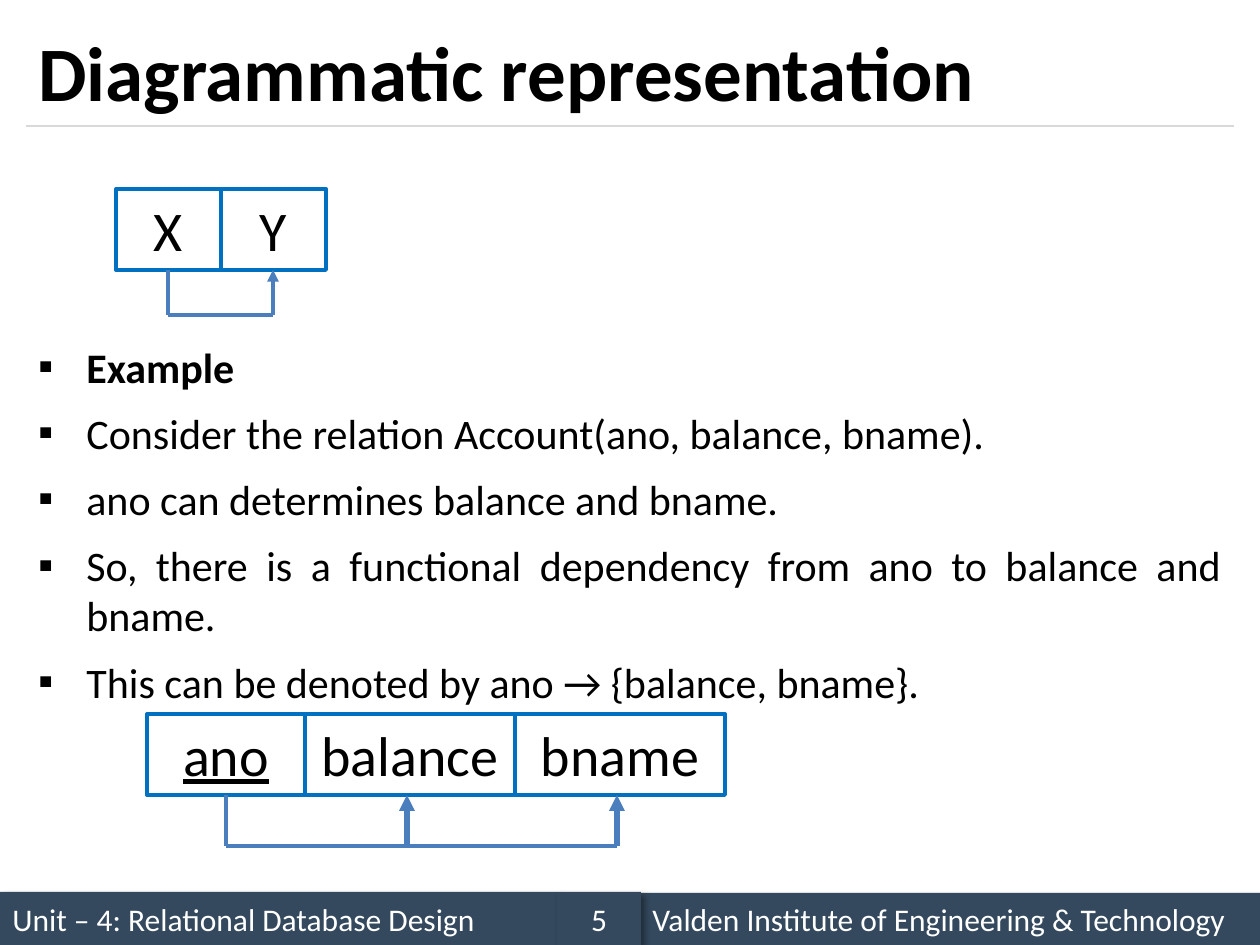
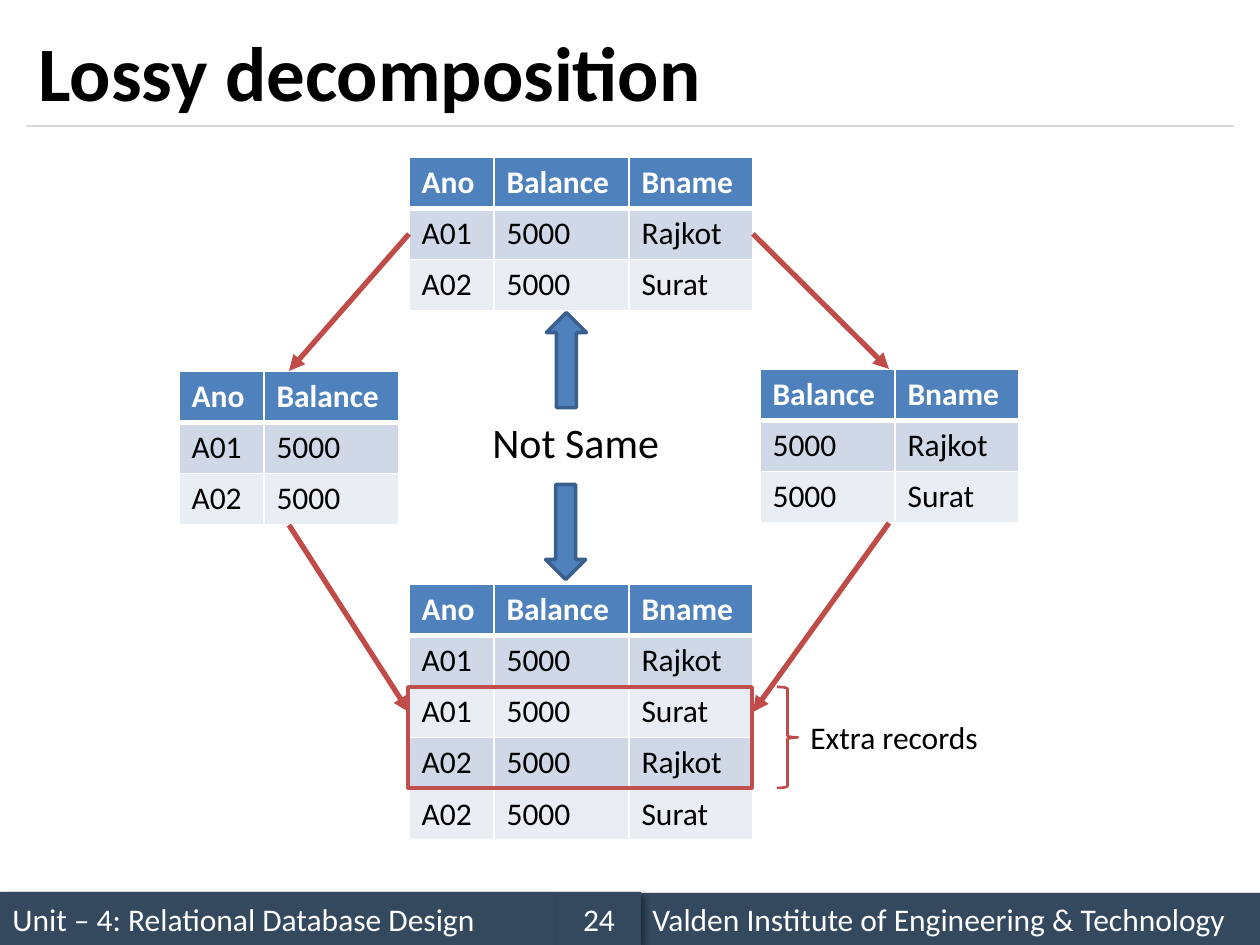
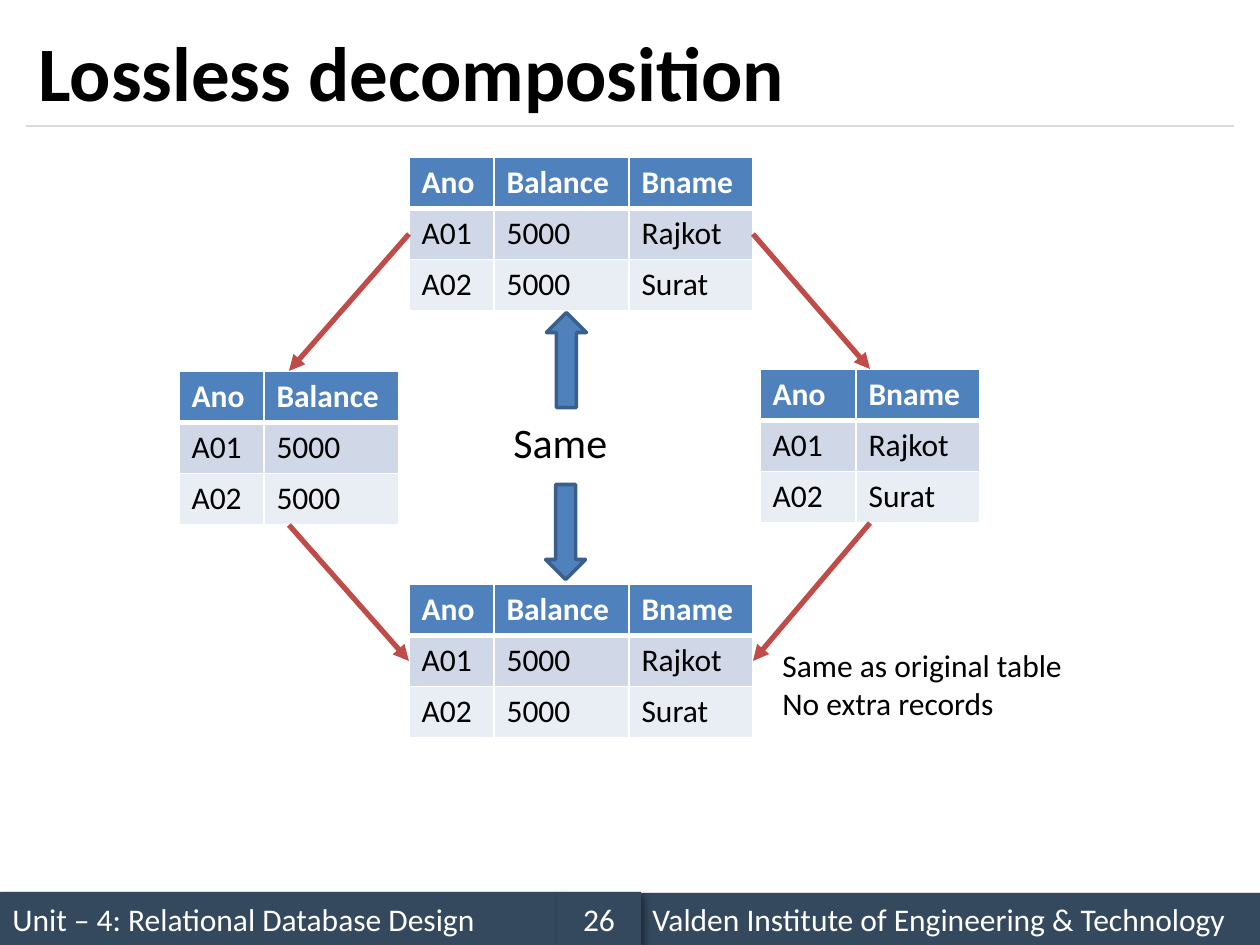
"""Build three slides on functional dependency and table decomposition."""
from dataclasses import dataclass
from itertools import product

from lxml.etree import SubElement
from pptx import Presentation
from pptx.dml.color import RGBColor
from pptx.enum.shapes import MSO_CONNECTOR as Link, MSO_SHAPE as Preset
from pptx.enum.text import MSO_ANCHOR as Anchor, PP_ALIGN as Align
from pptx.oxml.ns import qn
from pptx.shapes.autoshape import Shape
from pptx.slide import Slide
from pptx.util import Emu, Pt

FONT = "Calibri"
BLACK, WHITE = "000000", "FFFFFF"
BAND, RULE = "34495E", "D9D9D9"
CELL_LINE, STEM = "0070C0", "4B7EBC"
BLUE, BLUE_EDGE = "4F81BD", "3A5F8C"
RED_LINE, RED_FRAME = "BF4C48", "C0504D"
STRIPES = ("D0D8E8", "E9EDF4")
PIXELS_PER_INCH = 126
ROW_HEIGHT = 51.2
UNIT = "Unit – 4: Relational Database Design"
SCHOOL = "Valden Institute of Engineering & Technology"
POINTS = (
    "Example",
    "Consider the relation Account(ano, balance, bname).",
    "ano can determines balance and bname.",
    "So, there is a functional dependency from ano to balance and bname.",
    "This can be denoted by ano → {balance, bname}.",
)
ORIGINAL = ("Ano Balance Bname", "A01 5000 Rajkot", "A02 5000 Surat")


@dataclass(frozen=True)
class Area:
    """A rectangle in pixels."""
    left: int
    top: int
    width: int
    height: int

    def emu(self) -> tuple[Emu, ...]:
        """Give the four lengths in EMU."""
        return tuple(map(px, (self.left, self.top, self.width, self.height)))


@dataclass(frozen=True)
class TextStyle:
    """The look of a paragraph."""
    size: int
    color: str = BLACK
    bold: bool = False
    underline: bool = False
    align: Align = Align.LEFT


@dataclass(frozen=True)
class Attribute:
    """One named cell of a dependency diagram."""
    name: str
    width: int
    key: bool = False


@dataclass(frozen=True)
class Grid:
    """A data table with its place and column widths."""
    left: int
    top: int
    columns: tuple[int, ...]
    rows: tuple[str, ...]

    @property
    def right(self) -> int:
        """Give the right edge."""
        return self.left + sum(self.columns)

    @property
    def bottom(self) -> int:
        """Give the lower edge."""
        return round(self.top + ROW_HEIGHT * len(self.rows))

    @property
    def center(self) -> int:
        """Give the horizontal centre."""
        return (self.left + self.right) // 2

    @property
    def middle(self) -> int:
        """Give the vertical centre."""
        return (self.top + self.bottom) // 2


def px(pixels: float) -> Emu:
    """Turn pixels into EMU."""
    return Emu(round(pixels * 914400 / PIXELS_PER_INCH))


def rgb(color: str) -> RGBColor:
    """Turn a hex string into a colour."""
    return RGBColor.from_string(color)


def style_paragraph(para, style: TextStyle) -> None:
    """Apply a text style to a paragraph."""
    para.alignment = style.align
    font = para.font
    font.name, font.size = FONT, Pt(style.size)
    font.bold, font.underline = style.bold, style.underline
    font.color.rgb = rgb(style.color)


def write(box: Shape, lines: tuple[str, ...], style: TextStyle, anchor: Anchor = Anchor.TOP) -> None:
    """Write lines as paragraphs into a shape."""
    frame = box.text_frame
    frame.word_wrap, frame.vertical_anchor = True, anchor
    frame.text = "\n".join(lines)
    for para in frame.paragraphs:
        style_paragraph(para, style)


def add_text(page: Slide, area: Area, lines: tuple[str, ...], style: TextStyle, anchor: Anchor = Anchor.TOP) -> None:
    """Add a text box."""
    write(page.shapes.add_textbox(*area.emu()), lines, style, anchor)


def add_preset(page: Slide, preset: Preset, area: Area, fill: str = "", edge: str = "", weight: float = 2) -> Shape:
    """Add a preset shape without the default look."""
    shape = page.shapes.add_shape(preset, *area.emu())
    if fill:
        shape.fill.solid()
        shape.fill.fore_color.rgb = rgb(fill)
    else:
        shape.fill.background()
    if edge:
        shape.line.color.rgb = rgb(edge)
        shape.line.width = Pt(weight)
    else:
        shape.line.fill.background()
    shape.shadow.inherit = False
    return shape


def add_line(page: Slide, start: tuple[int, int], end: tuple[int, int], color: str, weight: float, arrow: bool = False) -> None:
    """Add a straight line, with an arrowhead at its end if asked."""
    points = map(px, (*start, *end))
    line = page.shapes.add_connector(Link.STRAIGHT, *points)
    line.line.color.rgb = rgb(color)
    line.line.width = Pt(weight)
    properties = line.element.spPr
    if arrow:
        SubElement(properties.find(qn("a:ln")), qn("a:tailEnd"), type="triangle")
    SubElement(properties, qn("a:effectLst"))


def add_band(page: Slide, area: Area, text: str, align: Align = Align.LEFT) -> None:
    """Add one shadowed part of the footer."""
    band = add_preset(page, Preset.RECTANGLE, area, BAND)
    effects = band.element.spPr.find(qn("a:effectLst"))
    shadow = SubElement(effects, qn("a:outerShdw"), blurRad=str(Pt(4)), dist=str(Pt(3)),
                        dir="2700000", algn="tl", rotWithShape="0")
    tint = SubElement(shadow, qn("a:srgbClr"), val=BLACK)
    SubElement(tint, qn("a:alpha"), val="40000")
    write(band, (text,), TextStyle(18, WHITE, align=align), Anchor.MIDDLE)


def add_page(deck, title: str, number: int) -> Slide:
    """Add a page with the shared footer, rule and title."""
    page = deck.slides.add_slide(deck.slide_layouts[6])
    add_band(page, Area(0, 892, 557, 53), UNIT)
    add_line(page, (26, 126), (1234, 126), RULE, 0.75)
    add_band(page, Area(640, 893, 620, 52), SCHOOL)
    add_band(page, Area(557, 892, 84, 53), str(number), Align.CENTER)
    add_text(page, Area(26, 15, 1208, 111), (title,), TextStyle(44, bold=True), Anchor.MIDDLE)
    return page


def add_points(page: Slide) -> None:
    """Add the bulleted example below the first diagram."""
    box = page.shapes.add_textbox(*Area(26, 136, 1208, 735).emu())
    write(box, POINTS, TextStyle(24, align=Align.JUSTIFY))
    box.text_frame.margin_top = px(205)
    for para in box.text_frame.paragraphs:
        para.space_before = Pt(9)
        properties = para._p.get_or_add_pPr()
        properties.set("marL", str(px(48)))
        properties.set("indent", str(px(-48)))
        typeface = SubElement(properties, qn("a:buFont"), typeface=FONT)
        bullet = SubElement(properties, qn("a:buChar"), char="▪")
        for mark in (typeface, bullet):
            properties.find(qn("a:defRPr")).addprevious(mark)
    box.text_frame.paragraphs[0].font.bold = True


def add_dependency(page: Slide, left: int, top: int, attributes: tuple[Attribute, ...],
                   stems: tuple[int, ...], depth: int, weight: float) -> None:
    """Add attribute cells with arrows from the first to the others."""
    height = 81
    for attribute in attributes:
        cell = add_preset(page, Preset.RECTANGLE, Area(left, top, attribute.width, height), edge=CELL_LINE, weight=2.25)
        write(cell, (attribute.name,), TextStyle(32, underline=attribute.key, align=Align.CENTER))
        left += attribute.width
    upper, lower = top + height, top + height + depth
    source, *targets = stems
    add_line(page, (source, upper), (source, lower), STEM, 2.25)
    for target in targets:
        add_line(page, (target, lower), (target, upper), STEM, weight, arrow=True)
    add_line(page, (source, lower), (targets[-1], lower), STEM, 2.25)


def add_border(cell, side: str, weight: float) -> None:
    """Draw one white edge of a table cell."""
    edge = SubElement(cell._tc.get_or_add_tcPr(), qn(f"a:ln{side}"), w=str(Pt(weight)))
    SubElement(SubElement(edge, qn("a:solidFill")), qn("a:srgbClr"), val=WHITE)


def add_grid(page: Slide, grid: Grid) -> None:
    """Add a table with a header row and striped records."""
    size = len(grid.rows), len(grid.columns)
    area = Area(grid.left, grid.top, grid.right - grid.left, grid.bottom - grid.top)
    table = page.shapes.add_table(*size, *area.emu()).table
    for column, width in zip(table.columns, grid.columns):
        column.width = px(width)
    for row in table.rows:
        row.height = px(ROW_HEIGHT)
    records = [row.split() for row in grid.rows]
    for row, column in product(*map(range, size)):
        cell = table.cell(row, column)
        header = row == 0
        for side in "LRTB":
            add_border(cell, side, 3 if (row, side) in ((0, "B"), (1, "T")) else 1)
        cell.fill.solid()
        cell.fill.fore_color.rgb = rgb(BLUE if header else STRIPES[(row - 1) % 2])
        cell.text = records[row][column]
        style_paragraph(cell.text_frame.paragraphs[0], TextStyle(18, WHITE if header else BLACK, header))


def add_decomposition(page: Slide, right: Grid, joined_rows: tuple[str, ...]) -> None:
    """Add the whole table, its two parts and their join, linked by arrows."""
    whole = Grid(409, 157, (85, 135, 124), ORIGINAL)
    left = Grid(179, 371, (85, 135), ("Ano Balance", "A01 5000", "A02 5000"))
    joined = Grid(409, 584, whole.columns, joined_rows)
    for grid in (whole, left, right, joined):
        add_grid(page, grid)
    for part, start, end in ((left, whole.left, joined.left), (right, whole.right, joined.right)):
        add_line(page, (start, whole.middle), (part.center, part.top), RED_LINE, 3, arrow=True)
        add_line(page, (part.center, part.bottom), (end, joined.middle), RED_LINE, 3, arrow=True)


def add_verdict(page: Slide, text: str, left: int, width: int) -> None:
    """Add the verdict between a down arrow and an up arrow."""
    add_text(page, Area(left, 410, width, 63), (text,), TextStyle(24))
    for x, y, turn in ((518, 512, 90), (519, 340, 270)):
        arrow = add_preset(page, Preset.RIGHT_ARROW, Area(x, y, 95, 40), BLUE, BLUE_EDGE)
        arrow.rotation = turn


def build_representation(deck) -> None:
    """Build the page on diagrams of functional dependency."""
    page = add_page(deck, "Diagrammatic representation", 5)
    add_points(page)
    add_dependency(page, 116, 189, (Attribute("X", 105), Attribute("Y", 105)), (168, 273), 45, 2.25)
    account = (Attribute("ano", 158, key=True), Attribute("balance", 210), Attribute("bname", 210))
    add_dependency(page, 147, 714, account, (226, 407, 617), 51, 3)


def build_lossy(deck) -> None:
    """Build the page where the join gains records."""
    page = add_page(deck, "Lossy decomposition", 24)
    right = Grid(760, 369, (135, 124), ("Balance Bname", "5000 Rajkot", "5000 Surat"))
    header, first, last = ORIGINAL
    add_decomposition(page, right, (header, first, "A01 5000 Surat", "A02 5000 Rajkot", last))
    add_preset(page, Preset.RECTANGLE, Area(408, 687, 344, 101), edge=RED_FRAME)
    add_preset(page, Preset.RIGHT_BRACE, Area(777, 687, 21, 101), edge=RED_LINE, weight=1.5)
    add_text(page, Area(798, 712, 199, 51), ("Extra records",), TextStyle(18))
    add_verdict(page, "Not Same", 480, 198)


def build_lossless(deck) -> None:
    """Build the page where the join restores the table."""
    page = add_page(deck, "Lossless decomposition", 26)
    right = Grid(760, 369, (96, 124), ("Ano Bname", "A01 Rajkot", "A02 Surat"))
    add_decomposition(page, right, ORIGINAL)
    add_text(page, Area(770, 640, 333, 89), ("Same as original table", "No extra records"), TextStyle(18))
    add_verdict(page, "Same", 501, 129)


def main() -> None:
    """Build and save the deck."""
    deck = Presentation()
    deck.slide_width, deck.slide_height = px(1260), px(945)
    for build in (build_representation, build_lossy, build_lossless):
        build(deck)
    deck.save("out.pptx")


main()
